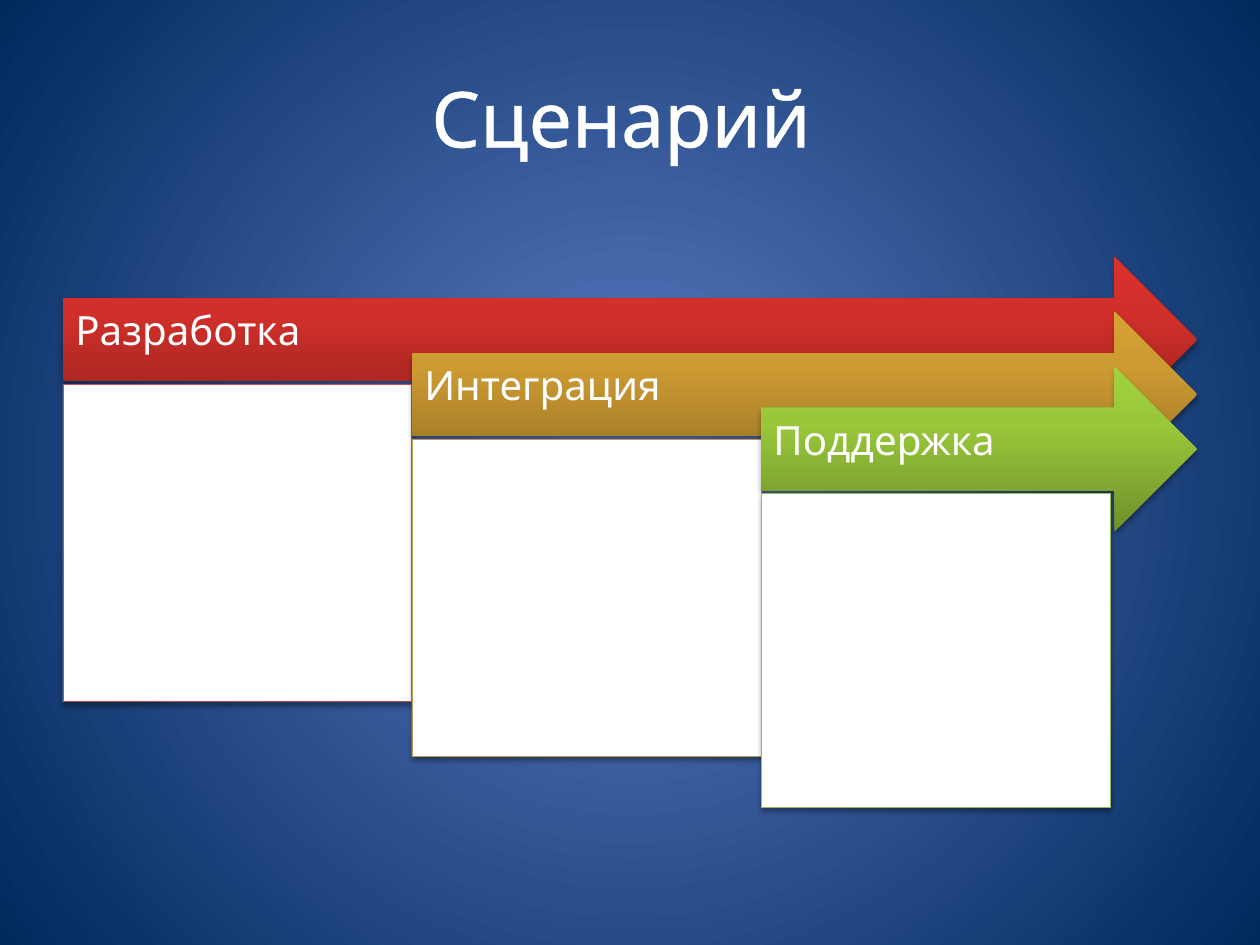
from dataclasses import dataclass

from lxml.etree import SubElement
from pptx import Presentation
from pptx.dml.color import RGBColor
from pptx.enum.shapes import MSO_SHAPE
from pptx.enum.text import MSO_ANCHOR, PP_ALIGN
from pptx.oxml import parse_xml
from pptx.oxml.ns import nsdecls, qn
from pptx.util import Inches, Pt


@dataclass(frozen=True)
class Theme:
    """Colours, font and type sizes of the deck."""
    font: str = "Cabin"
    white: str = "FFFFFF"
    shadow: str = "000000"
    background: tuple = ((0, "5E7CC5"), (100, "00295C"))
    title_size: float = 44
    label_size: float = 23


@dataclass(frozen=True)
class Stage:
    """One stage: its label, arrow shades, panel outline and panel height."""
    label: str
    shades: tuple
    outline: str
    panel_height: float


THEME = Theme()
STAGES = (
    Stage("Разработка", ("96221E", "D02F2A", "DB312C"), "C0504D", 2.52),
    Stage("Интеграция", ("936F24", "CC9A32", "D6A235"), "BD9B53", 2.52),
    Stage("Поддержка", ("6E902A", "99C73A", "A1D13D"), "9BBB59", 2.49),
)
ARROW_HEIGHT = 1.31
PANEL_WIDTH = 2.77
PANEL_OFFSET = 1.01
STEP_DOWN = 0.435


def gradient(stops, direction):
    """Return a gradient fill element with the given stops and direction."""
    marks = "".join(
        f'<a:gs pos="{place * 1000}"><a:srgbClr val="{colour}"/></a:gs>'
        for place, colour in stops)
    return parse_xml(f'<a:gradFill {nsdecls("a")} rotWithShape="1">'
                     f'<a:gsLst>{marks}</a:gsLst>{direction}</a:gradFill>')


def add_shadow(shape):
    """Give a shape a soft shadow straight below it."""
    shape.shadow.inherit = False
    effects = shape._element.spPr.find(qn("a:effectLst"))
    shadow = SubElement(effects, qn("a:outerShdw"), blurRad=str(Pt(3.1)),
                        dist=str(Pt(2)), dir="5400000", rotWithShape="0")
    colour = SubElement(shadow, qn("a:srgbClr"), val=THEME.shadow)
    SubElement(colour, qn("a:alpha"), val="35000")


def add_text(page, box, text, size):
    """Add a wrapped, vertically centred text box and return its parts."""
    frame = page.shapes.add_textbox(*map(Inches, box)).text_frame
    frame.word_wrap = True
    frame.vertical_anchor = MSO_ANCHOR.MIDDLE
    para = frame.paragraphs[0]
    span = para.add_run()
    span.text = text
    span.font.name = THEME.font
    span.font.size = Pt(size)
    span.font.color.rgb = RGBColor.from_string(THEME.white)
    return frame, para, span


def paint_background(page):
    """Fill the page with a radial gradient."""
    page.background.fill.solid()
    properties = page.background._cSld.bg.bgPr
    properties.replace(properties[0], gradient(
        THEME.background,
        '<a:path path="circle"><a:fillToRect l="100000" t="100000" '
        'r="100000" b="100000"/></a:path>'))


def add_title(page, box):
    """Write the centred, outlined title in its box."""
    _, para, span = add_text(page, box, "Сценарий ", THEME.title_size)
    para.alignment = PP_ALIGN.CENTER
    span.font._element.insert(0, parse_xml(
        f'<a:ln {nsdecls("a")} w="{Pt(1.45)}"><a:solidFill>'
        f'<a:srgbClr val="{THEME.white}"/></a:solidFill></a:ln>'))


def add_arrow(page, box, stage):
    """Draw a stage arrow with its label along the shaft."""
    left, top, width, height = box
    arrow = page.shapes.add_shape(MSO_SHAPE.RIGHT_ARROW, *map(Inches, box))
    arrow.line.fill.background()
    arrow.fill.solid()
    properties = arrow._element.spPr
    properties.replace(properties.find(qn("a:solidFill")), gradient(
        zip((0, 65, 100), stage.shades),
        '<a:lin ang="16200000" scaled="0"/>'))
    add_shadow(arrow)
    quarter = height / 4
    shaft = (left, top + quarter, width - quarter, height / 2)
    frame, para, _ = add_text(page, shaft, stage.label, THEME.label_size)
    frame.margin_left = frame.margin_top = Inches(0.1)
    frame.margin_right = Inches(0.28)
    frame.margin_bottom = Inches(0.21)
    para.line_spacing = 0.9
    para.space_after = Pt(8)


def add_panel(page, box, outline):
    """Draw the white panel that hangs below an arrow."""
    panel = page.shapes.add_shape(MSO_SHAPE.RECTANGLE, *map(Inches, box))
    panel.fill.solid()
    panel.fill.fore_color.rgb = RGBColor.from_string(THEME.white)
    panel.line.color.rgb = RGBColor.from_string(outline)
    panel.line.width = Pt(0.5)
    add_shadow(panel)


def add_stages(page, box):
    """Cascade the stages down and right, all arrows ending at one edge."""
    left, top, width, _ = box
    for index, stage in enumerate(STAGES):
        shift = index * PANEL_WIDTH
        x, y = left + shift, top + index * STEP_DOWN
        add_arrow(page, (x, y, width - shift, ARROW_HEIGHT), stage)
        add_panel(page, (x, y + PANEL_OFFSET, PANEL_WIDTH, stage.panel_height),
                  stage.outline)


def main():
    """Build and save the slide."""
    deck = Presentation()
    deck.slide_width, deck.slide_height = Inches(10), Inches(7.5)
    page = deck.slides.add_slide(deck.slide_layouts[6])
    paint_background(page)
    add_title(page, (0.5, 0.3, 9, 1.25))
    add_stages(page, (0.5, 2.04, 9, 4.37))
    deck.save("out.pptx")


if __name__ == "__main__":
    main()
